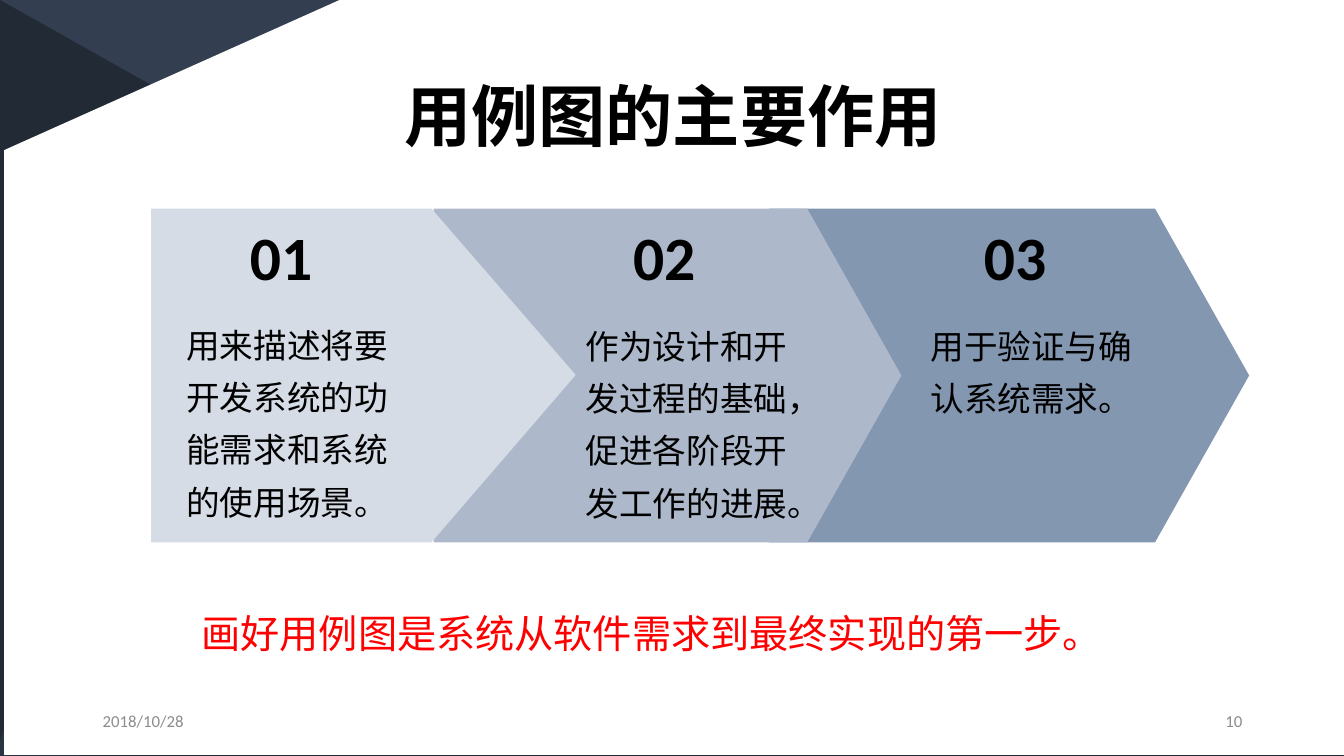
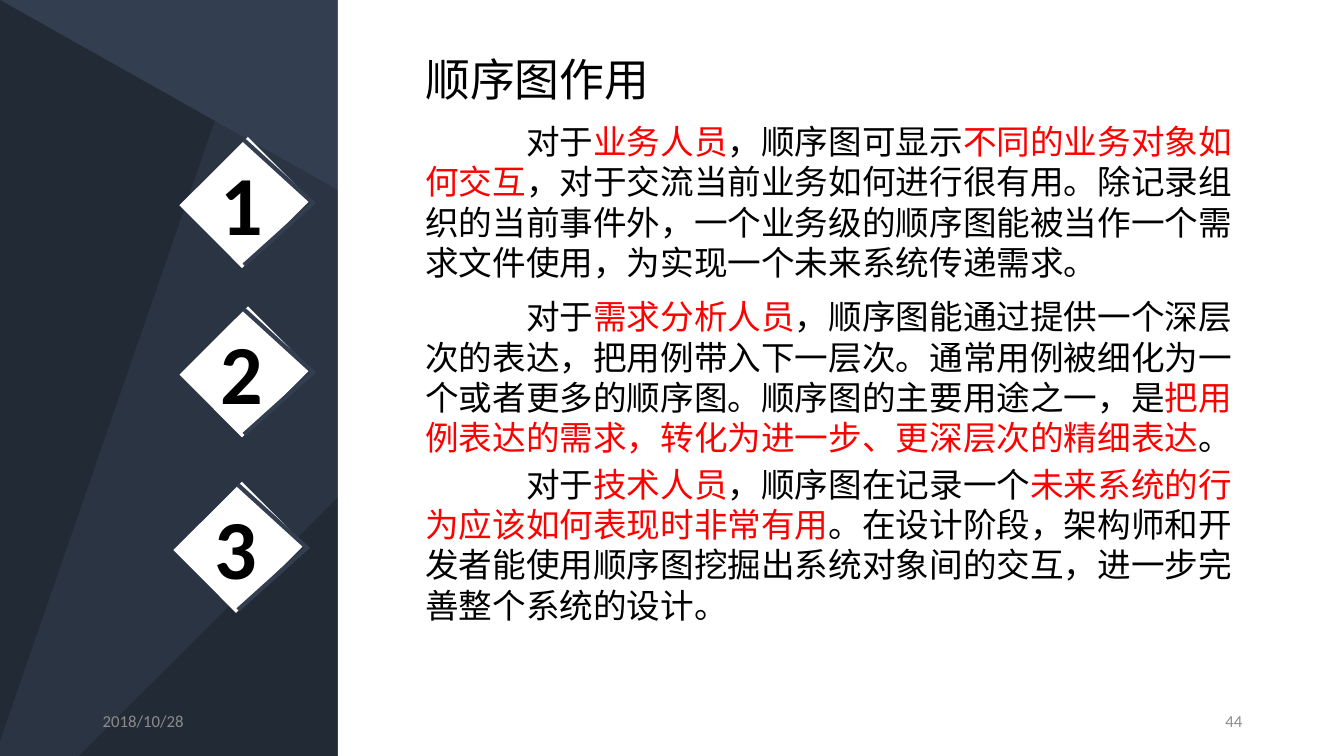
from pptx import Presentation
from pptx.dml.color import RGBColor
from pptx.enum.shapes import MSO_CONNECTOR, MSO_SHAPE
from pptx.enum.text import MSO_ANCHOR, PP_ALIGN
from pptx.oxml.ns import qn
from pptx.util import Inches, Pt
from lxml.etree import SubElement

SLATE = RGBColor(0x33, 0x3F, 0x50)
DARK = RGBColor(0x22, 0x2A, 0x35)
WHITE = RGBColor(0xFF, 0xFF, 0xFF)
BLACK = RGBColor(0, 0, 0)
RED = RGBColor(0xFF, 0, 0)
GREY = RGBColor(0x8C, 0x8C, 0x8C)
PALE = RGBColor(0xD6, 0xDC, 0xE5)
MIST = RGBColor(0xAD, 0xB9, 0xCA)
STEEL = RGBColor(0x84, 0x97, 0xB0)
LATIN = "Calibri"
HAN = "Noto Sans CJK SC"


def paint(shape, color, alpha=100):
    shape.shadow.inherit = False
    shape.fill.solid()
    shape.fill.fore_color.rgb = color
    shape.line.fill.background()
    if alpha < 100:
        tone = shape.fill._xPr.find(".//" + qn("a:srgbClr"))
        SubElement(tone, qn("a:alpha"), val=str(alpha * 1000))
    return shape


def write(slide, box, parts, size, font=LATIN, bold=False, align=PP_ALIGN.LEFT,
          anchor=MSO_ANCHOR.TOP, space=None, indent=0):
    frame = slide.shapes.add_textbox(*map(Inches, box)).text_frame
    frame.word_wrap = True
    frame.vertical_anchor = anchor
    para = frame.paragraphs[0]
    para.alignment = align
    para.line_spacing = space
    if indent:
        props = para._p.get_or_add_pPr()
        props.set("marL", "0")
        props.set("indent", str(Inches(indent)))
    for words, color in parts:
        run = para.add_run()
        run.text = words
        run.font.name = font
        run.font.size = Pt(size)
        run.font.bold = bold
        run.font.color.rgb = color
        SubElement(run._r.get_or_add_rPr(), qn("a:ea"), typeface=HAN)


deck = Presentation()
deck.slide_width = Inches(13.33)
deck.slide_height = Inches(7.5)

backdrop = [
    (MSO_SHAPE.ISOSCELES_TRIANGLE, (0, 0, 13.33, 7.5), 0, 0, DARK, 100),
    (MSO_SHAPE.PARALLELOGRAM, (-0.71, 1.68, 14.74, 4.13), 0.25, 346.3, DARK, 50),
    (MSO_SHAPE.ISOSCELES_TRIANGLE, (1.18, -1.16, 5.41, 11.12), 1, 199.1, SLATE, 50),
]
pages = [
    ("10", [(MSO_SHAPE.RECTANGLE, (3.38, -0.01, 9.98, 7.5)),
            (MSO_SHAPE.FLOWCHART_MANUAL_INPUT, (0.04, -0.01, 3.35, 7.5))]),
    ("44", [(MSO_SHAPE.RECTANGLE, (3.35, 0, 9.98, 7.5))]),
]
for number, panels in pages:
    slide = deck.slides.add_slide(deck.slide_layouts[6])
    slide.background.fill.solid()
    slide.background.fill.fore_color.rgb = SLATE
    for kind, box, bend, turn, color, alpha in backdrop:
        shape = paint(slide.shapes.add_shape(kind, *map(Inches, box)), color, alpha)
        shape.adjustments[0] = bend
        shape.rotation = turn
    for kind, box in panels:
        paint(slide.shapes.add_shape(kind, *map(Inches, box)), WHITE)
    write(slide, (0.92, 6.95, 3, 0.4), [("2018/10/28", GREY)], 12,
          anchor=MSO_ANCHOR.MIDDLE)
    write(slide, (9.42, 6.95, 3, 0.4), [(number, GREY)], 12,
          align=PP_ALIGN.RIGHT, anchor=MSO_ANCHOR.MIDDLE)

roles, order = deck.slides

for left, width, color in ((7.63, 4.76, STEEL), (4.3, 4.64, MIST)):
    arrow = paint(roles.shapes.add_shape(
        MSO_SHAPE.PENTAGON, Inches(left), Inches(2.07), Inches(width), Inches(3.31)), color)
    arrow.adjustments[0] = 0.282
pen = roles.shapes.build_freeform(Inches(5.71), Inches(3.72))
pen.add_line_segments([(Inches(x), Inches(y)) for x, y in
                       ((4.28, 5.38), (1.5, 5.38), (1.5, 2.07), (4.28, 2.07))])
paint(pen.convert_to_shape(), PALE)

write(roles, (3.91, 0.69, 7.52, 0.91), [("用例图的主要作用", BLACK)], 48, bold=True)
write(roles, (1.9, 6, 10.07, 0.57),
      [("画好用例图是系统从软件需求到最终实现的第一步。", RED)], 28)
steps = [
    ("01", 2.38, 1.75, 3.05, "用来描述将要开发系统的功能需求和系统的使用场景。"),
    ("02", 6.18, 5.71, 3.06, "作为设计和开发过程的基础，促进各阶段开发工作的进展。"),
    ("03", 9.66, 9.13, 3.06, "用于验证与确认系统需求。"),
]
for label, head, left, top, words in steps:
    write(roles, (head, 2.12, 1.05, 0.84), [(label, BLACK)], 44, bold=True)
    write(roles, (left, top, 2.3, 2.2), [(words, BLACK)], 24, HAN, space=1.3)

write(order, (4.12, 0.46, 4.09, 0.64), [("顺序图作用", BLACK)], 32, HAN)
edges = [(0.43, -0.14, 1.11, 0.48), (1.13, 0.47, 0.43, 1.1)]
for label, left, top in (("1", 1.99, 1.53), ("2", 1.99, 3.21), ("3", 1.93, 4.95)):
    tile = paint(order.shapes.add_shape(
        MSO_SHAPE.RECTANGLE, Inches(left), Inches(top), Inches(0.88), Inches(0.96)), WHITE)
    tile.rotation = 45.1
    for x1, y1, x2, y2 in edges:
        edge = order.shapes.add_connector(
            MSO_CONNECTOR.STRAIGHT, Inches(left + x1), Inches(top + y1),
            Inches(left + x2), Inches(top + y2))
        edge.line.color.rgb = SLATE
        edge.line.width = Pt(3)
        SubElement(edge._element.spPr, qn("a:effectLst"))
    write(order, (left + 0.1, top - 0.08, 0.7, 1.11), [(label, BLACK)], 60, bold=True)

uses = [
    (1.15, [
        "对于", "业务人员", "，顺序图可显示", "不同的业务对象如何交互",
        "，对于交流当前业务如何进行很有用。除记录组织的当前事件外，一个业务级的顺序图"
        "能被当作一个需求文件使用，为实现一个未来系统传递需求。"]),
    (2.89, [
        "对于", "需求分析人员",
        "，顺序图能通过提供一个深层次的表达，把用例带入下一层次。通常用例被细化为一个"
        "或者更多的顺序图。顺序图的主要用途之一，是",
        "把用例表达的需求，转化为进一步、更深层次的精细表达", "。"]),
    (4.55, [
        "对于", "技术人员", "，顺序图在记录一个", "未来系统的行为应该如何表现时非常有用",
        "。在设计阶段，架构师和开发者能使用顺序图挖掘出系统对象间的交互，"
        "进一步完善整个系统的设计。"]),
]
for top, texts in uses:
    parts = [(words, RED if i % 2 else BLACK) for i, words in enumerate(texts)]
    write(order, (4.12, top, 8.47, 1.72), parts, 24, indent=1)

deck.save("out.pptx")
